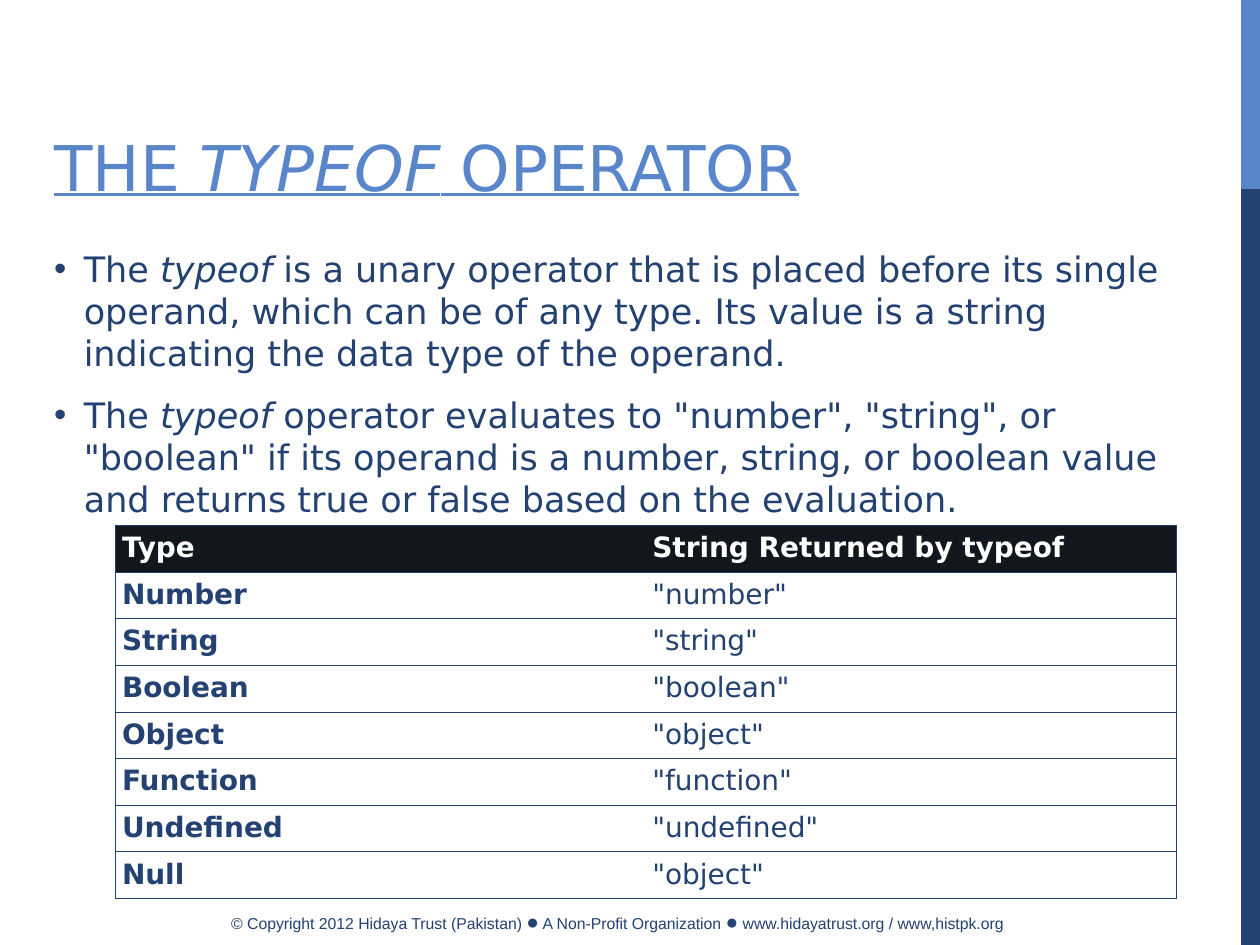
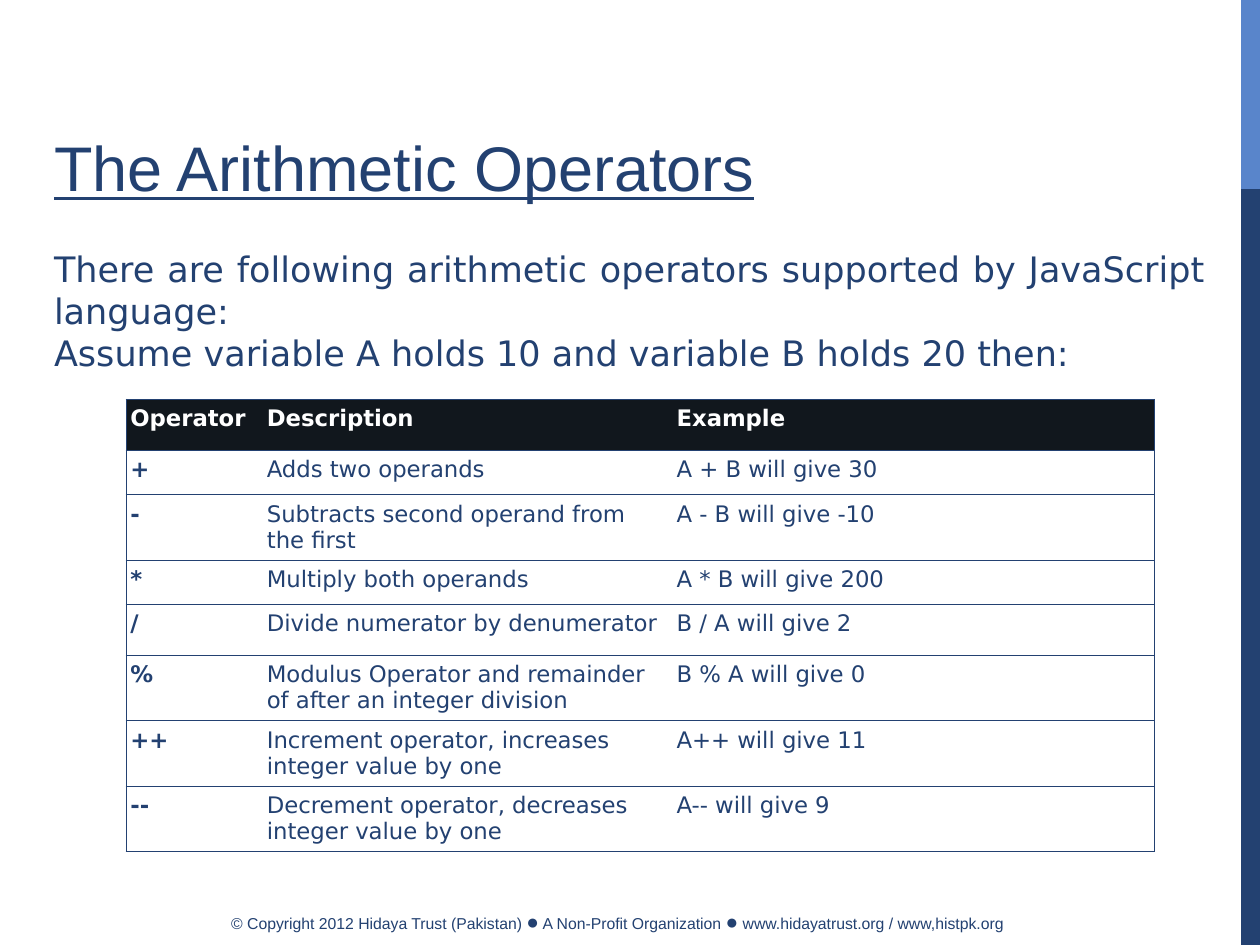
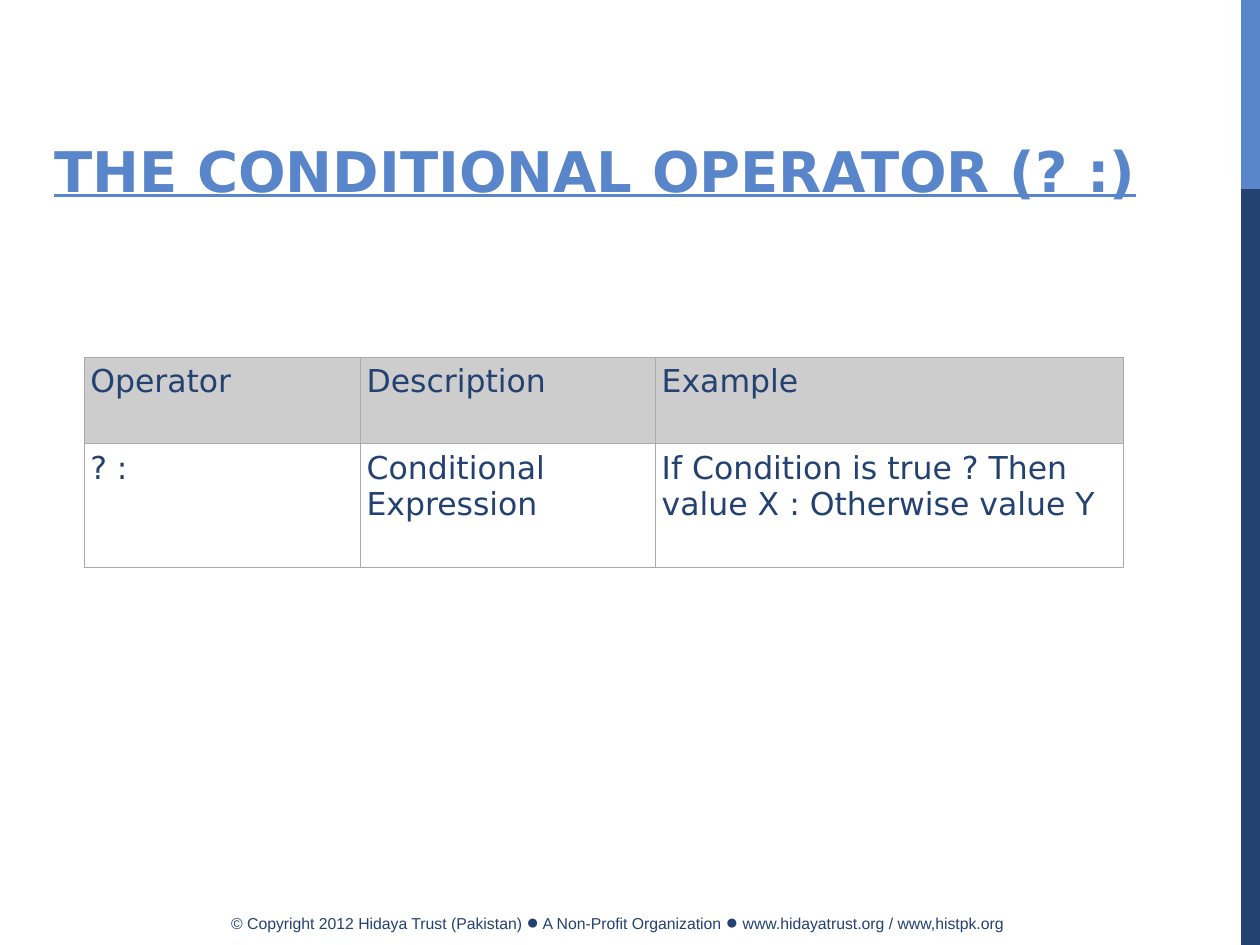
from collections import namedtuple

from lxml.etree import SubElement
from pptx import Presentation
from pptx.dml.color import RGBColor
from pptx.enum.shapes import MSO_SHAPE
from pptx.enum.text import MSO_ANCHOR, MSO_AUTO_SIZE, PP_ALIGN
from pptx.oxml.ns import qn
from pptx.util import Cm, Pt

# Shared colours, fonts and boxes
NAVY = RGBColor(0x23, 0x41, 0x71)
BLUE = RGBColor(0x59, 0x85, 0xCB)
BLACK = RGBColor(0x11, 0x17, 0x1D)
WHITE = RGBColor(0xFF, 0xFF, 0xFF)
HEADER_GRAY = RGBColor(0xCD, 0xCD, 0xCD)
LINE_GRAY = RGBColor(0xAA, 0xAA, 0xAA)
SANS, ARIAL = "DejaVu Sans", "Arial"
NO_TABLE_STYLE = "{2D5ABB26-0587-4C30-8999-92F81FD0307C}"

Box = namedtuple("Box", "left top width height")
SLIDE_BOX = Box(Cm(0), Cm(0), Cm(25.4), Cm(19.05))
TITLE_BOX = Box(Cm(0.84), Cm(2.33), Cm(23.07), Cm(1.91))
BODY_BOX = Box(Cm(0.84), Cm(4.87), Cm(23.71), Cm(12.28))
FOOTER_BOX = Box(Cm(3.81), Cm(18.2), Cm(17.36), Cm(0.76))
BAND_WIDTH, BAND_TOP_HEIGHT = Cm(0.38), Cm(3.81)

TITLE_STYLE = {"name": SANS, "size": Pt(36), "underline": True,
               "bold": False, "color": BLUE}
BODY_STYLE = {"name": SANS, "size": Pt(20), "color": NAVY}
FOOTER_STYLE = {"name": ARIAL, "size": Pt(9), "color": NAVY}
ITALIC = {"italic": True}
DOT = ("●", {"size": Pt(12)})
FOOTER_RUNS = ["© Copyright 2012 Hidaya Trust (Pakistan) ", DOT,
               " A Non-Profit Organization ", DOT,
               " www.hidayatrust.org / www,histpk.org "]


def set_attributes(target, values):
    for name, value in values.items():
        setattr(target, name, value)


def add_runs(paragraph, runs, style):
    """Each run is a text, or a text with its own format values."""
    for item in runs:
        text, changes = (item, {}) if isinstance(item, str) else item
        values = {**style, **changes}
        run = paragraph.add_run()
        run.text = text
        run.font.color.rgb = values.pop("color")
        set_attributes(run.font, values)


def add_text_box(slide, box):
    frame = slide.shapes.add_textbox(*box).text_frame
    set_attributes(frame, {"word_wrap": True, "auto_size": MSO_AUTO_SIZE.NONE})
    return frame


# Parts on every slide
def add_bands(slide, box):
    left = box.left + box.width - BAND_WIDTH
    for height, color in ((box.height, NAVY), (BAND_TOP_HEIGHT, BLUE)):
        band = slide.shapes.add_shape(
            MSO_SHAPE.RECTANGLE, left, box.top, BAND_WIDTH, height)
        band.shadow.inherit = False
        band.fill.solid()
        band.fill.fore_color.rgb = color
        band.line.fill.background()


def add_footer(slide, box):
    paragraph = add_text_box(slide, box).paragraphs[0]
    paragraph.alignment = PP_ALIGN.CENTER
    add_runs(paragraph, FOOTER_RUNS, FOOTER_STYLE)


def set_title(slide, box, runs, changes):
    title = slide.shapes.title
    set_attributes(title, box._asdict())
    frame = title.text_frame
    set_attributes(frame, {"word_wrap": True, "auto_size": MSO_AUTO_SIZE.NONE,
                           "vertical_anchor": MSO_ANCHOR.BOTTOM})
    paragraph = frame.paragraphs[0]
    paragraph.alignment = PP_ALIGN.LEFT
    add_runs(paragraph, runs, {**TITLE_STYLE, **changes})


def add_titled_slide(presentation, runs, **changes):
    slide = presentation.slides.add_slide(presentation.slide_layouts[5])
    add_bands(slide, SLIDE_BOX)
    add_footer(slide, FOOTER_BOX)
    set_title(slide, TITLE_BOX, runs, changes)
    return slide


# Body text
def add_bullet(paragraph):
    properties = paragraph._p.get_or_add_pPr()
    indent = Cm(0.6)
    properties.set("marL", str(indent))
    properties.set("indent", str(-indent))
    SubElement(properties, qn("a:buFont")).set("typeface", ARIAL)
    SubElement(properties, qn("a:buChar")).set("char", "•")


def add_body(slide, box, paragraphs, bullets=False, **spacing):
    frame = add_text_box(slide, box)
    for index, runs in enumerate(paragraphs):
        paragraph = frame.add_paragraph() if index else frame.paragraphs[0]
        if bullets:
            add_bullet(paragraph)
        set_attributes(paragraph, spacing)
        if index == 0:
            paragraph.space_before = Pt(0)
        add_runs(paragraph, runs, BODY_STYLE)


# Tables
def set_borders(cell, sides, color, width):
    properties = cell._tc.get_or_add_tcPr()
    for side in "LRTB":
        line = SubElement(properties, qn(f"a:ln{side}"), w=str(width))
        if side in sides:
            fill = SubElement(line, qn("a:solidFill"))
            SubElement(fill, qn("a:srgbClr")).set("val", str(color))
        else:
            SubElement(line, qn("a:noFill"))


def add_grid(slide, left, top, widths, heights, rows, size, margin=Cm(0.13),
             header_fill=BLACK, header_color=WHITE, bold=True,
             line_color=NAVY, line_width=Pt(0.45), inner_lines=False):
    table = slide.shapes.add_table(
        len(rows), len(widths), left, top, sum(widths), sum(heights)).table
    set_attributes(table, {"first_row": False, "horz_banding": False})
    table._tbl.tblPr.find(qn("a:tableStyleId")).text = NO_TABLE_STYLE
    for column, width in zip(table.columns, widths):
        column.width = width
    for row, height in zip(table.rows, heights):
        row.height = height
    last = len(widths) - 1
    for row_index, texts in enumerate(rows):
        is_header = row_index == 0
        for column_index, text in enumerate(texts):
            cell = table.cell(row_index, column_index)
            set_attributes(cell, {"margin_left": margin, "margin_right": margin,
                                  "margin_top": Cm(0.13),
                                  "margin_bottom": Cm(0.13)})
            sides = "TB"
            if inner_lines or column_index == 0:
                sides += "L"
            if inner_lines or column_index == last:
                sides += "R"
            set_borders(cell, sides, line_color, line_width)
            cell.fill.solid()
            cell.fill.fore_color.rgb = header_fill if is_header else WHITE
            add_runs(cell.text_frame.paragraphs[0], [text], {
                "name": SANS, "size": size,
                "bold": bold and (is_header or column_index == 0),
                "color": header_color if is_header else NAVY})


# Slides
def build_typeof_slide(presentation):
    slide = add_titled_slide(
        presentation, ["THE ", ("TYPEOF", ITALIC), " OPERATOR"])
    add_body(slide, BODY_BOX, [
        ["The ", ("typeof", ITALIC),
         " is a unary operator that is placed before its single operand, "
         "which can be of any type. Its value is a string indicating the "
         "data type of the operand."],
        ["The ", ("typeof", ITALIC),
         ' operator evaluates to "number", "string", or "boolean" if its '
         "operand is a number, string, or boolean value and returns true or "
         "false based on the evaluation."],
    ], bullets=True, space_before=Pt(5), space_after=Pt(6))
    rows = [
        ("Type", "String Returned by typeof"),
        ("Number", '"number"'),
        ("String", '"string"'),
        ("Boolean", '"boolean"'),
        ("Object", '"object"'),
        ("Function", '"function"'),
        ("Undefined", '"undefined"'),
        ("Null", '"object"'),
    ]
    add_grid(slide, Cm(2.33), Cm(10.59), [Cm(10.69)] * 2,
             [Cm(0.94)] * len(rows), rows, Pt(16))


def build_arithmetic_slide(presentation):
    slide = add_titled_slide(
        presentation, ["The Arithmetic Operators"], name=ARIAL, color=NAVY)
    add_body(slide, BODY_BOX, [
        ["There are following arithmetic operators supported by JavaScript "
         "language:"],
        ["Assume variable A holds 10 and variable B holds 20 then:"],
    ], alignment=PP_ALIGN.JUSTIFY)
    rows = [
        ("Operator", "Description", "Example"),
        ("+", "Adds two operands", "A + B will give 30"),
        ("-", "Subtracts second operand from the first",
         "A - B will give -10"),
        ("*", "Multiply both operands", "A * B will give 200"),
        ("/", "Divide numerator by denumerator", "B / A will give 2"),
        ("%", "Modulus Operator and remainder of after an integer division",
         "B % A will give 0"),
        ("++", "Increment operator, increases integer value by one",
         "A++ will give 11"),
        ("--", "Decrement operator, decreases integer value by one",
         "A-- will give 9"),
    ]
    heights = [Cm(h) for h in (1.03, 0.89, 1.3, 0.89, 1.03, 1.3, 1.3, 1.3)]
    add_grid(slide, Cm(2.54), Cm(8.05), [Cm(2.75), Cm(8.26), Cm(9.73)],
             heights, rows, Pt(13), margin=Cm(0.09))


def build_conditional_slide(presentation):
    slide = add_titled_slide(
        presentation, ["THE CONDITIONAL OPERATOR (? :)"],
        size=Pt(32), bold=True)
    rows = [
        ("Operator", "Description", "Example"),
        ("? :", "Conditional Expression",
         "If Condition is true ? Then value X : Otherwise value Y"),
    ]
    add_grid(slide, Cm(1.69), Cm(7.2), [Cm(5.57), Cm(5.95), Cm(9.43)],
             [Cm(1.74), Cm(2.5)], rows, Pt(18), header_fill=HEADER_GRAY,
             header_color=NAVY, bold=False, line_color=LINE_GRAY,
             line_width=Pt(0.34), inner_lines=True)


def main():
    presentation = Presentation()
    presentation.slide_width = SLIDE_BOX.width
    presentation.slide_height = SLIDE_BOX.height
    build_typeof_slide(presentation)
    build_arithmetic_slide(presentation)
    build_conditional_slide(presentation)
    presentation.save("out.pptx")


if __name__ == "__main__":
    main()
